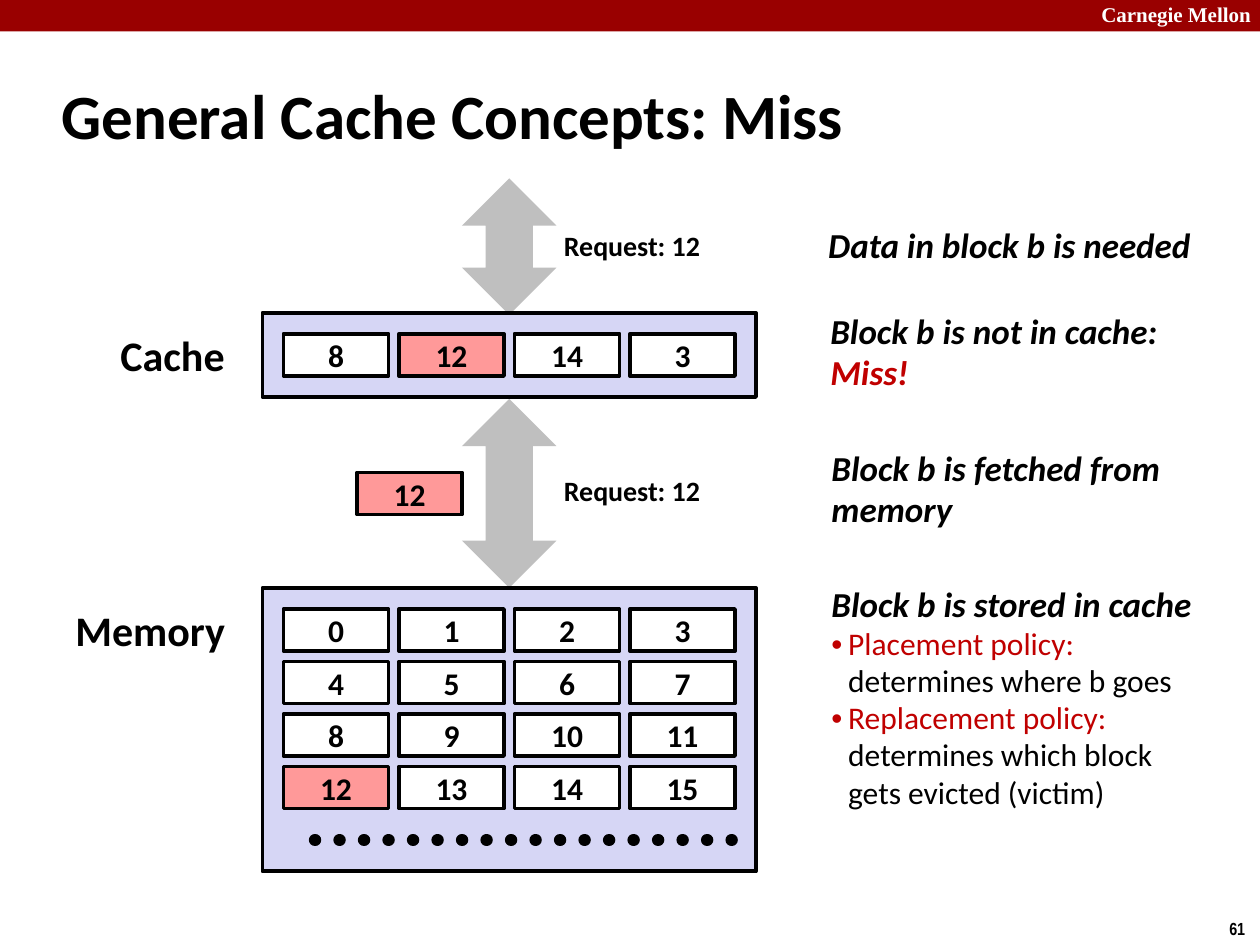
import pptx
import pptx.dml.color
import pptx.enum.dml
import pptx.enum.shapes
import pptx.enum.text
import pptx.oxml.ns
import pptx.oxml.xmlchemy
import pptx.util
from lxml import etree

RGBColor = pptx.dml.color.RGBColor
Shapes = pptx.enum.shapes.MSO_SHAPE
Align = pptx.enum.text.PP_ALIGN
Anchor = pptx.enum.text.MSO_ANCHOR
qn = pptx.oxml.ns.qn

BLACK = RGBColor(0x00, 0x00, 0x00)
WHITE = RGBColor(0xFF, 0xFF, 0xFF)
BANNER_RED = RGBColor(0x99, 0x00, 0x00)
ACCENT_RED = RGBColor(0xC0, 0x00, 0x00)
LAVENDER = RGBColor(0xD6, 0xD6, 0xF5)
PINK = RGBColor(0xFF, 0x99, 0x99)
GRAY = RGBColor(0xBF, 0xBF, 0xBF)

PX = 7620
CELL_W, CELL_H = 100, 40
COLUMN_STEP, ROW_STEP = 110, 50
PADDING = 20
REQUESTED = 12


def px(*lengths):
    return [pptx.util.Emu(length * PX) for length in lengths]


def add_run(paragraph, text, size, color=BLACK, bold=True, italic=False, font="Calibri"):
    run = paragraph.add_run()
    run.text = text
    run.font.name = font
    run.font.size = pptx.util.Pt(size)
    run.font.bold = bold
    run.font.italic = italic
    run.font.color.rgb = color


def add_box(slide, box, kind, fill, outlined=True):
    shape = slide.shapes.add_shape(kind, *px(*box))
    shape.shadow.inherit = False
    shape.fill.solid()
    shape.fill.fore_color.rgb = fill
    if outlined:
        shape.line.color.rgb = BLACK
        shape.line.width = pptx.util.Pt(2.25)
    else:
        shape.line.fill.background()
    return shape


def add_frame(slide, box, anchor=Anchor.TOP, wrap=False):
    frame = slide.shapes.add_textbox(*px(*box)).text_frame
    frame.word_wrap = wrap
    frame.vertical_anchor = anchor
    return frame


def add_label(slide, box, text, size, align=Align.LEFT, anchor=Anchor.TOP, **style):
    paragraph = add_frame(slide, box, anchor).paragraphs[0]
    paragraph.alignment = align
    add_run(paragraph, text, size, **style)


def draw_banner(slide, box):
    left, top, width, height = box
    add_box(slide, box, Shapes.RECTANGLE, BANNER_RED, outlined=False)
    add_label(slide, (left + width - 163, top - 4, 172, 36), "Carnegie Mellon", 12,
              color=WHITE, font="Times New Roman")


def draw_block(slide, left, top, number):
    fill = PINK if number == REQUESTED else WHITE
    block = add_box(slide, (left, top, CELL_W, CELL_H), Shapes.RECTANGLE, fill)
    block.text_frame.vertical_anchor = Anchor.MIDDLE
    paragraph = block.text_frame.paragraphs[0]
    paragraph.alignment = Align.CENTER
    add_run(paragraph, str(number), 18)


def draw_store(slide, box, rows):
    left, top = box[:2]
    add_box(slide, box, Shapes.RECTANGLE, LAVENDER)
    for row, numbers in enumerate(rows):
        for column, number in enumerate(numbers):
            draw_block(slide, left + PADDING + column * COLUMN_STEP,
                       top + PADDING + row * ROW_STEP, number)


def draw_continuation(slide, left, top, width):
    dots = slide.shapes.add_connector(pptx.enum.shapes.MSO_CONNECTOR.STRAIGHT,
                                      *px(left, top, left + width, top))
    dots.line.color.rgb = BLACK
    dots.line.width = pptx.util.Pt(7)
    dots.line.dash_style = pptx.enum.dml.MSO_LINE.ROUND_DOT
    properties = dots._element.spPr
    properties.find(qn("a:ln")).set("cap", "rnd")
    etree.SubElement(properties, qn("a:effectLst"))


def draw_transfer(slide, box, request_top):
    left, top = box[:2]
    add_box(slide, box, Shapes.UP_DOWN_ARROW, GRAY, outlined=False)
    add_label(slide, (left + 84, top + request_top, 156, 44), "Request: 12", 16, Align.CENTER)


def add_step_lines(frame, lines):
    for index, (text, color) in enumerate(lines):
        paragraph = frame.paragraphs[0] if index == 0 else frame.add_paragraph()
        paragraph.line_spacing = 0.98
        add_run(paragraph, text, 20, color=color, italic=True)


def draw_step(slide, box, *lines):
    frame = add_frame(slide, box, Anchor.MIDDLE)
    add_step_lines(frame, lines)
    return frame


def draw_policies(slide, box, heading, policies):
    frame = draw_step(slide, box, (heading, BLACK))
    for policy, effect_lines in policies:
        paragraph = frame.add_paragraph()
        properties = paragraph._p.get_or_add_pPr()
        properties.set("marL", str(16 * PX))
        properties.set("indent", str(-16 * PX))
        bullet_font = etree.SubElement(properties, qn("a:buFont"))
        bullet_font.set("typeface", "Arial")
        etree.SubElement(properties, qn("a:buChar")).set("char", "•")
        paragraph.line_spacing = 0.98
        add_run(paragraph, policy, 18, color=ACCENT_RED, bold=False)
        for effect in effect_lines:
            paragraph.add_line_break()
            add_run(paragraph, effect, 18, bold=False)


def main():
    deck = pptx.Presentation()
    deck.slide_width, deck.slide_height = px(1200, 900)
    slide = deck.slides.add_slide(deck.slide_layouts[6])

    draw_banner(slide, (0, 0, 1200, 30))
    add_label(slide, (47, 59, 996, 100), "General Cache Concepts: Miss", 36, anchor=Anchor.MIDDLE)
    add_label(slide, (1159, 868, 41, 32), "61", 10, font="Arial Narrow")

    draw_transfer(slide, (440, 170, 90, 130), 42)
    draw_transfer(slide, (440, 380, 90, 180), 65)
    draw_store(slide, (250, 298, 470, 80), [[8, 12, 14, 3]])
    draw_store(slide, (250, 560, 470, 270), [range(row, row + 4) for row in range(0, 16, 4)])
    draw_continuation(slide, 300, 800, 400)
    draw_block(slide, 340, 450, REQUESTED)
    add_label(slide, (103, 308, 125, 60), "Cache", 24)
    add_label(slide, (60, 570, 168, 60), "Memory", 24)

    draw_step(slide, (777, 208, 370, 52), ("Data in block b is needed", BLACK))
    draw_step(slide, (779, 290, 338, 92),
              ("Block b is not in cache:", BLACK), ("Miss!", ACCENT_RED))
    draw_step(slide, (780, 420, 340, 92),
              ("Block b is fetched from", BLACK), ("memory", BLACK))
    draw_policies(slide, (780, 550, 368, 230), "Block b is stored in cache", [
        ("Placement policy:", ["determines where b goes"]),
        ("Replacement policy:", ["determines which block", "gets evicted (victim)"]),
    ])
    deck.save("out.pptx")


if __name__ == "__main__":
    main()
